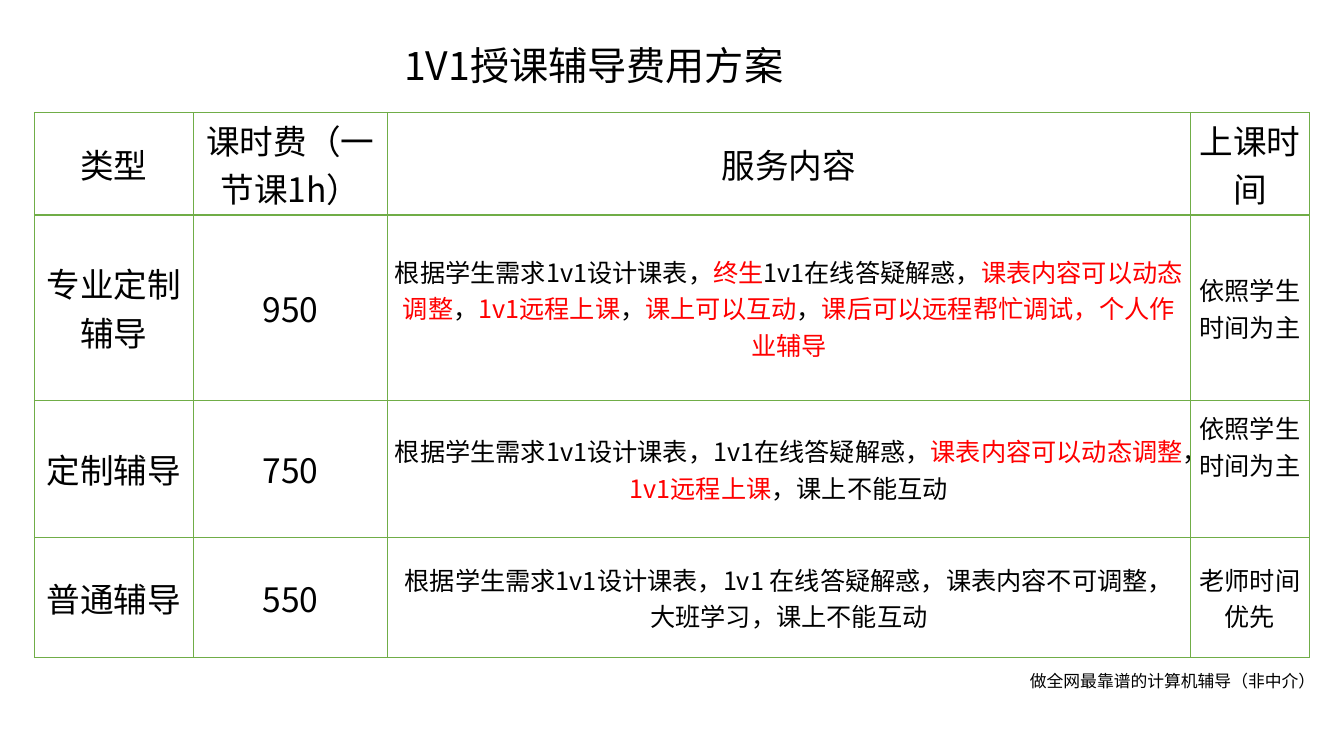
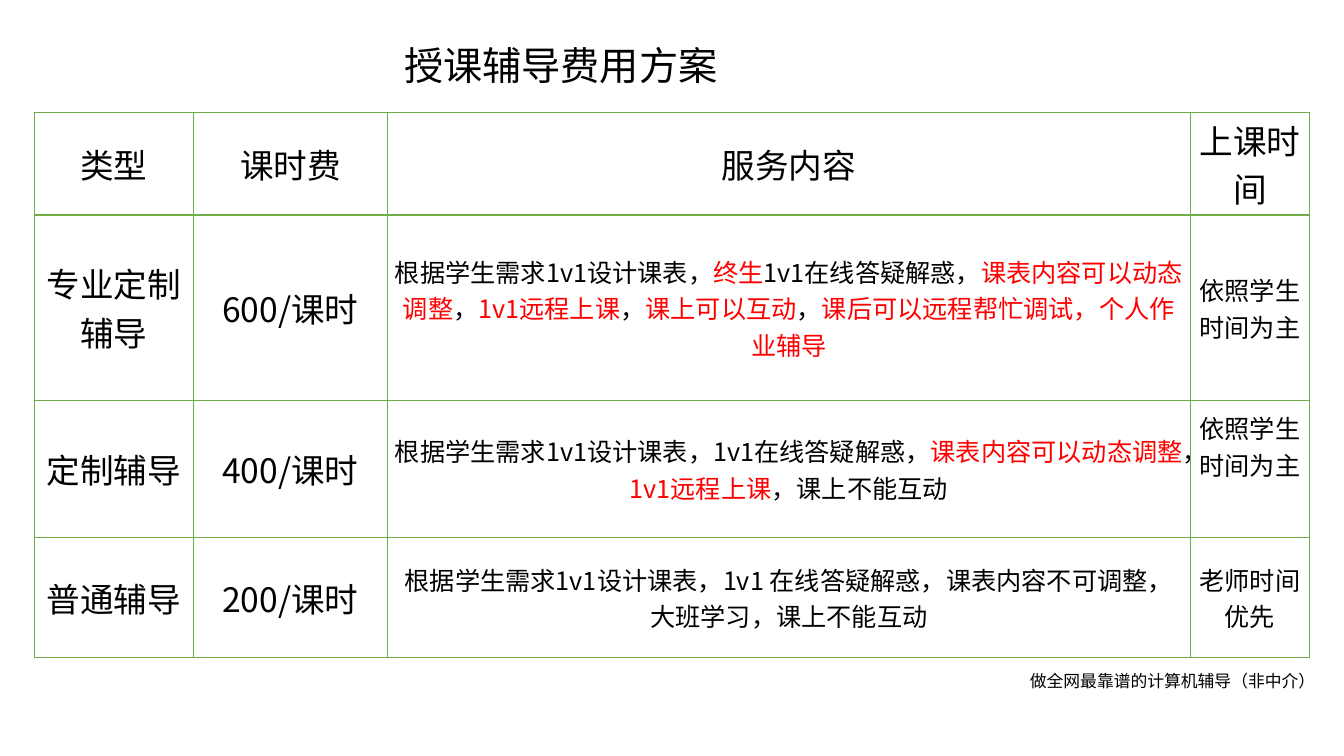
from dataclasses import dataclass

from lxml import etree
from pptx import Presentation
from pptx.dml.color import RGBColor
from pptx.enum.text import MSO_ANCHOR, MSO_AUTO_SIZE, PP_ALIGN
from pptx.oxml.ns import qn
from pptx.util import Pt

LEFT, CENTER = PP_ALIGN.LEFT, PP_ALIGN.CENTER
TOP, MIDDLE = MSO_ANCHOR.TOP, MSO_ANCHOR.MIDDLE
NO_FIT = MSO_AUTO_SIZE.NONE
TITLE_ONLY = 5


@dataclass(frozen=True)
class Theme:
    font: str = "Noto Sans CJK SC"
    text: str = "000000"
    accent: str = "FF0000"
    border: str = "70AD47"
    border_width: int = 1
    title: int = 28
    label: int = 24
    detail: int = 18
    footer: int = 12


THEME = Theme()

# Boxes: left, top, width, height in points
TABLE_BOX = (24.6, 80.6, 910.7, 389)
FOOTER_BOX = (728.6, 475.5, 230.4, 24.6)
TITLE_LEFT, TITLE_TOP, TITLE_HEIGHT = 281.5, 25.8, 48

COLUMN_WIDTHS = (113.6, 138.5, 573.6, 85)
ROW_HEIGHTS = (73, 132.5, 97.8, 85.7)
CELL_MARGIN_X, CELL_MARGIN_Y = 3.6, 1.44
RAISED_CELL = (2, 3)
RAISED_MARGIN = 34

FOOTER = "做全网最靠谱的计算机辅导（非中介）"
TYPES = ("专业定制辅导", "定制辅导", "普通辅导")
TIMES = ("依照学生时间为主", "依照学生时间为主", "老师时间优先")
# Each service is a list of runs that alternate between plain and accent colour
SERVICES = (
    ["根据学生需求1v1设计课表，", "终生", "1v1在线答疑解惑，",
     "课表内容可以动态调整", "，", "1v1远程上课", "，", "课上可以互动", "，",
     "课后可以远程帮忙调试，个人作业辅导"],
    ["根据学生需求1v1设计课表，1v1在线答疑解惑，", "课表内容可以动态调整",
     "，", "1v1远程上课", "，课上不能互动"],
    ["根据学生需求1v1设计课表，1v1 在线答疑解惑，课表内容不可调整，"
     "大班学习，课上不能互动"],
)
# Title, title width, fee heading, fees
PLANS = (
    ("1V1授课辅导费用方案", 338, "课时费（一节课1h）", ("950", "750", "550")),
    ("授课辅导费用方案", 413, "课时费",
     ("600/课时", "400/课时", "200/课时")),
)


def write(tf, runs, size, align):
    """Fill the first paragraph with runs in alternating text and accent colour."""
    p = tf.paragraphs[0]
    p.alignment = align
    for i, text in enumerate(runs):
        r = p.add_run()
        r.text = text
        font = r.font
        font.name, font.size, font.bold = THEME.font, Pt(size), False
        font.color.rgb = RGBColor.from_string(THEME.accent if i % 2 else THEME.text)
        ea = etree.SubElement(r._r.get_or_add_rPr(), qn("a:ea"))
        ea.set("typeface", THEME.font)


def place(shape, box):
    shape.left, shape.top, shape.width, shape.height = map(Pt, box)


def write_line(shape, box, text, size):
    """Place a shape and give it one line of left-aligned text."""
    place(shape, box)
    tf = shape.text_frame
    tf.word_wrap, tf.auto_size, tf.vertical_anchor = True, NO_FIT, TOP
    write(tf, [text], size, LEFT)


def add_borders(cell):
    tc_pr = cell._tc.get_or_add_tcPr()
    for i, side in enumerate(("lnL", "lnR", "lnT", "lnB")):
        ln = etree.Element(qn(f"a:{side}"), w=str(Pt(THEME.border_width)))
        fill = etree.SubElement(ln, qn("a:solidFill"))
        etree.SubElement(fill, qn("a:srgbClr"), val=THEME.border)
        tc_pr.insert(i, ln)


def style_cell(cell):
    cell.fill.background()
    cell.vertical_anchor = MIDDLE
    cell.margin_left = cell.margin_right = Pt(CELL_MARGIN_X)
    cell.margin_top = cell.margin_bottom = Pt(CELL_MARGIN_Y)
    add_borders(cell)


def add_fee_table(s, box, fee_heading, fees):
    header = ("类型", fee_heading, "服务内容", "上课时间")
    rows = [header, *zip(TYPES, fees, SERVICES, TIMES)]
    table = s.shapes.add_table(len(rows), len(header), *map(Pt, box)).table
    table.first_row = table.horz_banding = False
    for column, width in zip(table.columns, COLUMN_WIDTHS):
        column.width = Pt(width)
    for row, height in zip(table.rows, ROW_HEIGHTS):
        row.height = Pt(height)
    for i, row in enumerate(rows):
        for j, content in enumerate(row):
            cell = table.cell(i, j)
            style_cell(cell)
            runs = content if isinstance(content, list) else [content]
            size = THEME.detail if i > 0 and j > 1 else THEME.label
            write(cell.text_frame, runs, size, CENTER)
    table.cell(*RAISED_CELL).margin_bottom = Pt(RAISED_MARGIN)


def add_plan_slide(prs, title, title_width, fee_heading, fees):
    s = prs.slides.add_slide(prs.slide_layouts[TITLE_ONLY])
    title_box = (TITLE_LEFT, TITLE_TOP, title_width, TITLE_HEIGHT)
    write_line(s.shapes.title, title_box, title, THEME.title)
    add_fee_table(s, TABLE_BOX, fee_heading, fees)
    footer = s.shapes.add_textbox(*map(Pt, FOOTER_BOX))
    write_line(footer, FOOTER_BOX, FOOTER, THEME.footer)


def main():
    prs = Presentation()
    prs.slide_width, prs.slide_height = Pt(960), Pt(540)
    for plan in PLANS:
        add_plan_slide(prs, *plan)
    prs.save("out.pptx")


if __name__ == "__main__":
    main()
